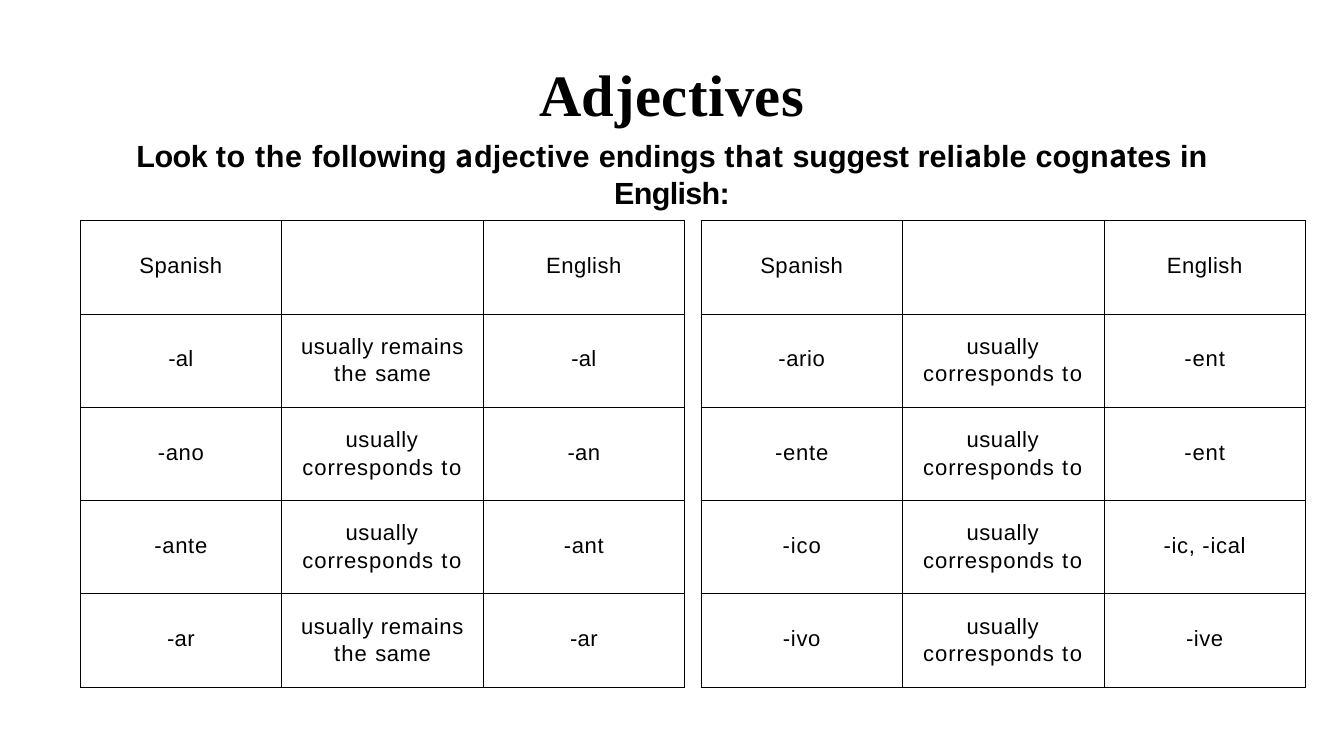
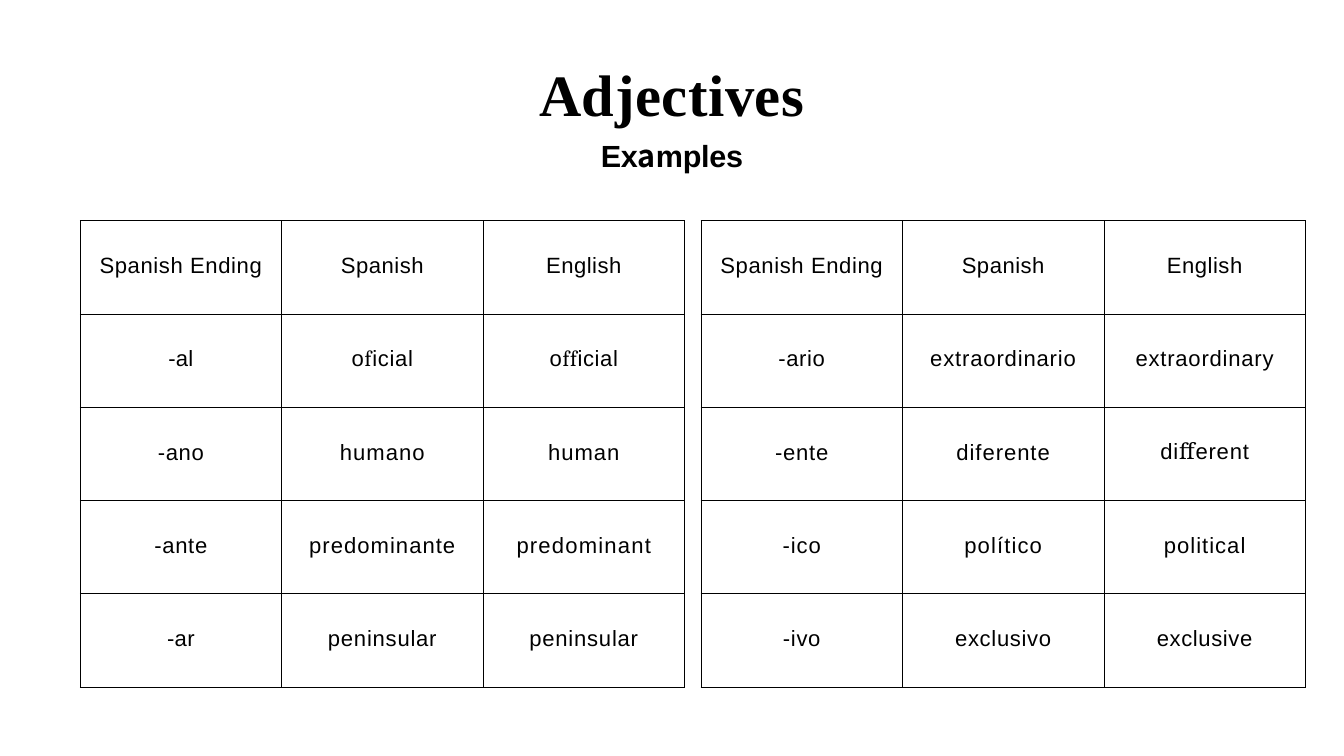
from lxml import etree
from pptx import Presentation
from pptx.dml.color import RGBColor
from pptx.enum import text
from pptx.oxml import ns
from pptx.util import Cm, Pt

COLORS = {"ink": "000000", "paper": "FFFFFF"}
HEADING = {"name": "Times New Roman", "size": Pt(69), "bold": True}
SUBHEAD = {"name": "Arial", "size": Pt(36), "bold": True}
BODY = {"name": "Arial", "size": Pt(26), "bold": False}
SUBHEAD_ALT, BODY_ALT = "Noto Sans CJK JP", "Cambria"

# Boxes in cm: left, top, width, height
TITLE_BOX = (3.45, 1.63, 48.95, 5.64)
TABLE_BOXES = [(left, 9.17, 25.12, 19.38) for left in (3.33, 29.13)]

# Letter spacing in points of each cell text
SPACING = {
    "Spanish": 0.6, "English": 0.6, "Spanish Ending": 0.7,
    "-al": 0.3, "-ano": 0.7, "-an": 0.4, "-ante": 0.8, "-ant": 0.8, "-ar": 0.4,
    "-ario": 0.7, "-ente": 0.9, "-ent": 1, "-ico": 1.1, "-ic, -ical": 0.8,
    "-ivo": 0.8, "-ive": 0.6, "o|f|icial": 0.8, "o|ff|icial": 0.7,
    "humano": 1.2, "human": 1.1, "predominante": 1.2, "predominant": 1.4,
    "peninsular": 0.9, "extraordinario": 1, "extraordinary": 0.9,
    "diferente": 1.1, "di|ﬀ|erent": 0.9, "político": 1.3, "political": 1.2,
    "exclusivo": 0.8, "exclusive": 0.7,
}

# Wrapped phrases: (left margin, first-line indent) in cm, then spaced parts
PHRASES = {
    "same": ((2.18, -1.37),
             [("usually ", 0.7), ("remains ", 0.8), ("the ", 1.3), ("same", 0.6)]),
    "corresponds": ((0.86, 1.8),
                    [("usually ", 0.7), ("corresponds ", 1.1), ("to", 1.8)]),
}

# Each slide: subtitle parts, then the rows of its two tables
SLIDES = [
    ([("Look ", -0.6), ("to the ", 0.8), ("following ", 0.1), ("|a|djective ", 0.3),
      ("endings ", 0), ("th|a|t ", 0.6), ("suggest ", -0.1), ("reli|a|ble ", 0.2),
      ("cogn|a|tes in ", 0.1), ("English:", -0.8)],
     [[("Spanish", "", "English"),
       ("-al", "same", "-al"),
       ("-ano", "corresponds", "-an"),
       ("-ante", "corresponds", "-ant"),
       ("-ar", "same", "-ar")],
      [("Spanish", "", "English"),
       ("-ario", "corresponds", "-ent"),
       ("-ente", "corresponds", "-ent"),
       ("-ico", "corresponds", "-ic, -ical"),
       ("-ivo", "corresponds", "-ive")]]),
    ([("Ex|a|mples", -0.3)],
     [[("Spanish Ending", "Spanish", "English"),
       ("-al", "o|f|icial", "o|ff|icial"),
       ("-ano", "humano", "human"),
       ("-ante", "predominante", "predominant"),
       ("-ar", "peninsular", "peninsular")],
      [("Spanish Ending", "Spanish", "English"),
       ("-ario", "extraordinario", "extraordinary"),
       ("-ente", "diferente", "di|ﬀ|erent"),
       ("-ico", "político", "political"),
       ("-ivo", "exclusivo", "exclusive")]]),
]


def set_attrs(obj, values):
    for name, value in values.items():
        setattr(obj, name, value)


def add_runs(p, parts, style, alt_font=None):
    """Write spaced parts; pieces between bars take the alternate font."""
    for part, spacing in parts:
        for i, piece in enumerate(part.split("|")):
            if not piece:
                continue
            r = p.add_run()
            r.text = piece
            set_attrs(r.font, style)
            if i % 2:
                r.font.name = alt_font
            r.font.color.rgb = RGBColor.from_string(COLORS["ink"])
            r._r.get_or_add_rPr().set("spc", str(round(spacing * 100)))


def add_title(slide, box, subtitle):
    sp = slide.shapes.title
    set_attrs(sp, dict(zip(("left", "top", "width", "height"), map(Cm, box))))
    tf = sp.text_frame
    set_attrs(tf, {"margin_left": 0, "margin_top": Cm(0.76), "margin_right": 0,
                   "margin_bottom": 0, "word_wrap": True,
                   "vertical_anchor": text.MSO_ANCHOR.TOP,
                   "auto_size": text.MSO_AUTO_SIZE.SHAPE_TO_FIT_TEXT})
    lines = [(tf.paragraphs[0], 21.6, [("Adjectives", 0.7)], HEADING),
             (tf.add_paragraph(), 10.9, subtitle, SUBHEAD)]
    for p, before, parts, style in lines:
        set_attrs(p, {"alignment": text.PP_ALIGN.CENTER, "space_before": Pt(before)})
        add_runs(p, parts, style, SUBHEAD_ALT)


def add_borders(cell):
    tcPr = cell._tc.get_or_add_tcPr()
    for i, side in enumerate(("lnL", "lnR", "lnT", "lnB")):
        ln = etree.Element(ns.qn("a:" + side), w=str(Pt(1)))
        fill = etree.SubElement(ln, ns.qn("a:solidFill"))
        etree.SubElement(fill, ns.qn("a:srgbClr"), val=COLORS["ink"])
        tcPr.insert(i, ln)


def fill_cell(cell, key):
    set_attrs(cell, {"margin_left": 0, "margin_top": 0, "margin_right": 0,
                     "margin_bottom": Cm(0.12),
                     "vertical_anchor": text.MSO_ANCHOR.MIDDLE})
    cell.fill.background()
    add_borders(cell)
    p = cell.text_frame.paragraphs[0]
    if key in PHRASES:
        (margin, indent), parts = PHRASES[key]
        set_attrs(p, {"alignment": text.PP_ALIGN.LEFT, "line_spacing": 1.11})
        pPr = p._p.get_or_add_pPr()
        pPr.set("marL", str(Cm(margin)))
        pPr.set("indent", str(Cm(indent)))
        add_runs(p, parts, BODY)
    elif key:
        p.alignment = text.PP_ALIGN.CENTER
        add_runs(p, [(key, SPACING[key])], BODY, BODY_ALT)


def add_endings_table(slide, box, rows):
    left, top, width, height = map(Cm, box)
    table = slide.shapes.add_table(len(rows), len(rows[0]),
                                   left, top, width, height).table
    set_attrs(table, {"first_row": False, "horz_banding": False})
    for row, keys in zip(table.rows, rows):
        for cell, key in zip(row.cells, keys):
            fill_cell(cell, key)


def main():
    prs = Presentation()
    set_attrs(prs, {"slide_width": Cm(55.85), "slide_height": Cm(31.42)})
    # Shared background
    bg = prs.slide_master.background.fill
    bg.solid()
    bg.fore_color.rgb = RGBColor.from_string(COLORS["paper"])
    for subtitle, tables in SLIDES:
        s = prs.slides.add_slide(prs.slide_layouts[5])
        add_title(s, TITLE_BOX, subtitle)
        for box, rows in zip(TABLE_BOXES, tables):
            add_endings_table(s, box, rows)
    prs.save("out.pptx")


if __name__ == "__main__":
    main()
